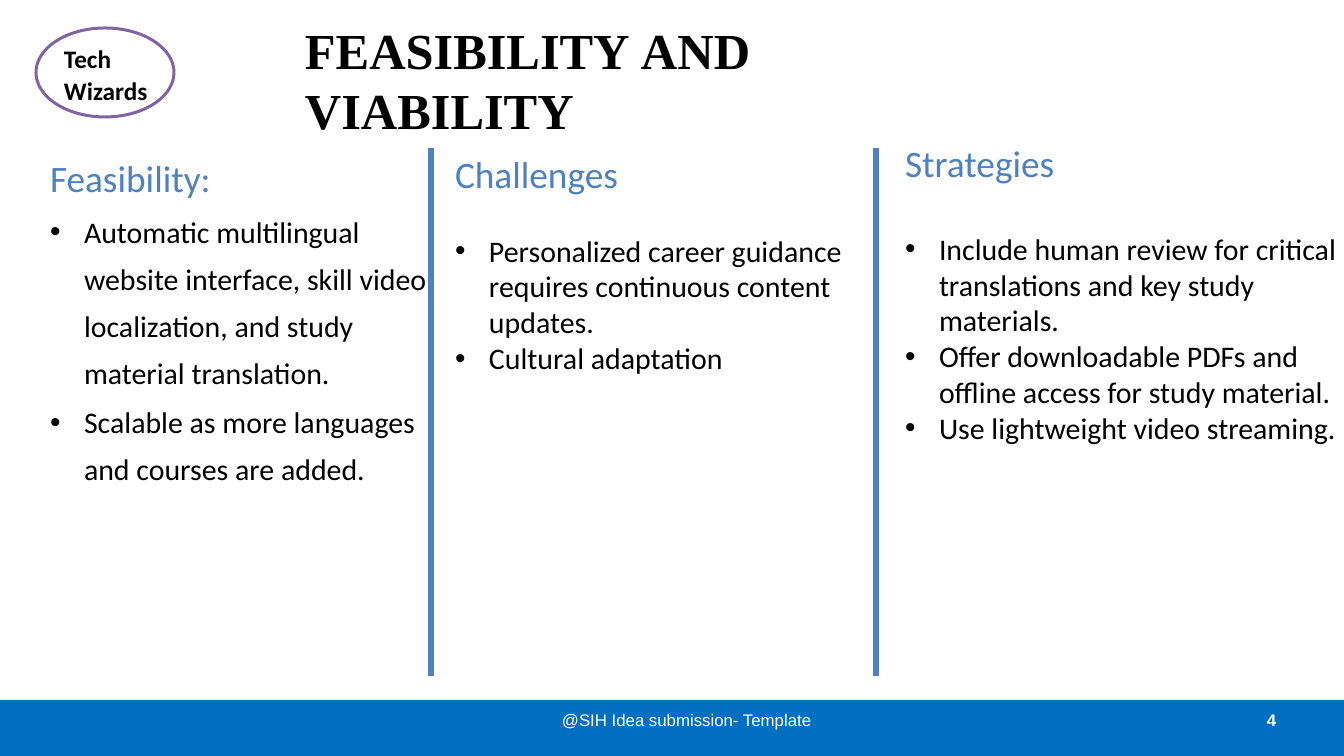
import pptx
import pptx.util
import pptx.dml.color
import pptx.enum.shapes
import pptx.enum.text
import pptx.oxml.ns
from lxml import etree

WIDTH, HEIGHT, PX_PER_INCH = 1344, 756, 67.2
BLUE, BLACK, WHITE = "4F81BD", "000000", "FFFFFF"
BAR, PURPLE = "006FBF", "8064A2"

TITLE = "FEASIBILITY\tAND\tVIABILITY"
TITLE_TABS = [339, 466]
TEAM = ["Tech", "Wizards"]
FOOTER = [
    ("@SIH Idea submission- Template", (562, 710, 270, 21), False),
    ("4", (1267, 710, 30, 21), True),
]
DIVIDERS = [431, 876]
DIVIDER_TOP, DIVIDER_BOTTOM = 148, 676

# box, insets, line spacing, gap under heading (pt), gap between bullets (pt)
COLUMNS = [
    dict(heading="Feasibility:",
         bullets=["Automatic multilingual website interface, skill video localization, "
                  "and study material translation.",
                  "Scalable as more languages and courses are added."],
         box=(50, 150, 385, 380), insets=(0, 3, 0, 0), spacing=50.3, gap=2.8, between=2.8),
    dict(heading="Challenges",
         bullets=["Personalized career guidance requires continuous content updates.",
                  "Cultural adaptation"],
         box=(448, 148, 425, 233), insets=(7, 3, 7, 3), spacing=None, gap=39, between=0),
    dict(heading="Strategies",
         bullets=["Include human review for critical translations and key study materials.",
                  "Offer downloadable PDFs and offline access for study material.",
                  "Use lightweight video streaming."],
         box=(898, 137, 446, 387), insets=(7, 3, 7, 3), spacing=None, gap=48.8, between=0),
]


def px(n):
    return pptx.util.Emu(round(n * 914400 / PX_PER_INCH))


def rgb(value):
    return pptx.dml.color.RGBColor.from_string(value)


def place(s, box):
    for name, value in zip(("left", "top", "width", "height"), box):
        setattr(s, name, px(value))


def prepare(s, insets=(0, 0, 0, 0)):
    tf = s.text_frame
    tf.word_wrap = True
    tf.auto_size = pptx.enum.text.MSO_AUTO_SIZE.NONE
    tf.vertical_anchor = pptx.enum.text.MSO_ANCHOR.TOP
    for side, value in zip(("left", "top", "right", "bottom"), insets):
        setattr(tf, "margin_" + side, px(value))
    return tf


def add_paragraph(tf, text, size, color, name="Calibri", bold=False,
                  before=0, spacing=None, bullet=False, tabs=()):
    p = tf.paragraphs[0] if not tf.paragraphs[0].runs else tf.add_paragraph()
    pPr = p._p.get_or_add_pPr()
    indent = px(34) if bullet else 0
    pPr.set("marL", str(indent))
    pPr.set("indent", str(-indent))
    qn = pptx.oxml.ns.qn
    if bullet:
        etree.SubElement(pPr, qn("a:buFont"), typeface="Arial")
        etree.SubElement(pPr, qn("a:buChar"), char="•")
    else:
        etree.SubElement(pPr, qn("a:buNone"))
    if tabs:
        tab_list = etree.SubElement(pPr, qn("a:tabLst"))
        for tab in tabs:
            etree.SubElement(tab_list, qn("a:tab"), pos=str(px(tab)), algn="l")
    p.alignment = pptx.enum.text.PP_ALIGN.LEFT
    p.space_before = pptx.util.Pt(before)
    if spacing:
        p.line_spacing = pptx.util.Pt(spacing)
    r = p.add_run()
    r.text = text
    for key, value in dict(size=pptx.util.Pt(size), name=name, bold=bold).items():
        setattr(r.font, key, value)
    r.font.color.rgb = rgb(color)


def add_column(s, column):
    place(s, column["box"])
    tf = prepare(s, column["insets"])
    add_paragraph(tf, column["heading"], 40, BLUE, spacing=column["spacing"])
    for i, text in enumerate(column["bullets"]):
        add_paragraph(tf, text, 32, BLACK, bullet=True, spacing=column["spacing"],
                      before=column["between"] if i else column["gap"])


def add_divider(shapes, x):
    line = shapes.add_connector(pptx.enum.shapes.MSO_CONNECTOR.STRAIGHT,
                                px(x), px(DIVIDER_TOP), px(x), px(DIVIDER_BOTTOM))
    line.line.color.rgb = rgb(BLUE)
    line.line.width = pptx.util.Pt(6)
    etree.SubElement(line._element.spPr, pptx.oxml.ns.qn("a:effectLst"))


def add_textbox(shapes, box):
    return prepare(shapes.add_textbox(*map(px, box)))


def main():
    prs = pptx.Presentation()
    prs.slide_width, prs.slide_height = px(WIDTH), px(HEIGHT)
    slide = prs.slides.add_slide(prs.slide_layouts.get_by_name("Comparison"))
    shapes = slide.shapes
    kinds = pptx.enum.shapes.MSO_SHAPE

    bar = shapes.add_shape(kinds.RECTANGLE, *map(px, (0, 700, WIDTH, 56)))
    bar.shadow.inherit = False
    bar.fill.solid()
    bar.fill.fore_color.rgb = rgb(BAR)
    bar.line.fill.background()
    for text, box, bold in FOOTER:
        add_paragraph(add_textbox(shapes, box), text, 18, WHITE, "Arial", bold, spacing=20.9)

    title = shapes.title
    place(title, (305, 20, 720, 122))
    add_paragraph(prepare(title), TITLE, 54, BLACK, "Times New Roman", True,
                  spacing=64.3, tabs=TITLE_TABS)

    badge = shapes.add_shape(kinds.OVAL, *map(px, (36, 28, 138, 89)))
    badge.shadow.inherit = False
    badge.fill.background()
    badge.line.color.rgb = rgb(PURPLE)
    badge.line.width = px(3)
    tf = add_textbox(shapes, (64, 43, 112, 64))
    for i, word in enumerate(TEAM):
        add_paragraph(tf, word, 27, BLACK, bold=True, spacing=32.3, before=2 if i else 0)

    for x in DIVIDERS:
        add_divider(shapes, x)
    bodies = [s for s in slide.placeholders if s.placeholder_format.idx]
    for s, column in zip(bodies, COLUMNS):
        add_column(s, column)
    for s in bodies[len(COLUMNS):]:
        s._element.getparent().remove(s._element)

    prs.save("out.pptx")


if __name__ == "__main__":
    main()
